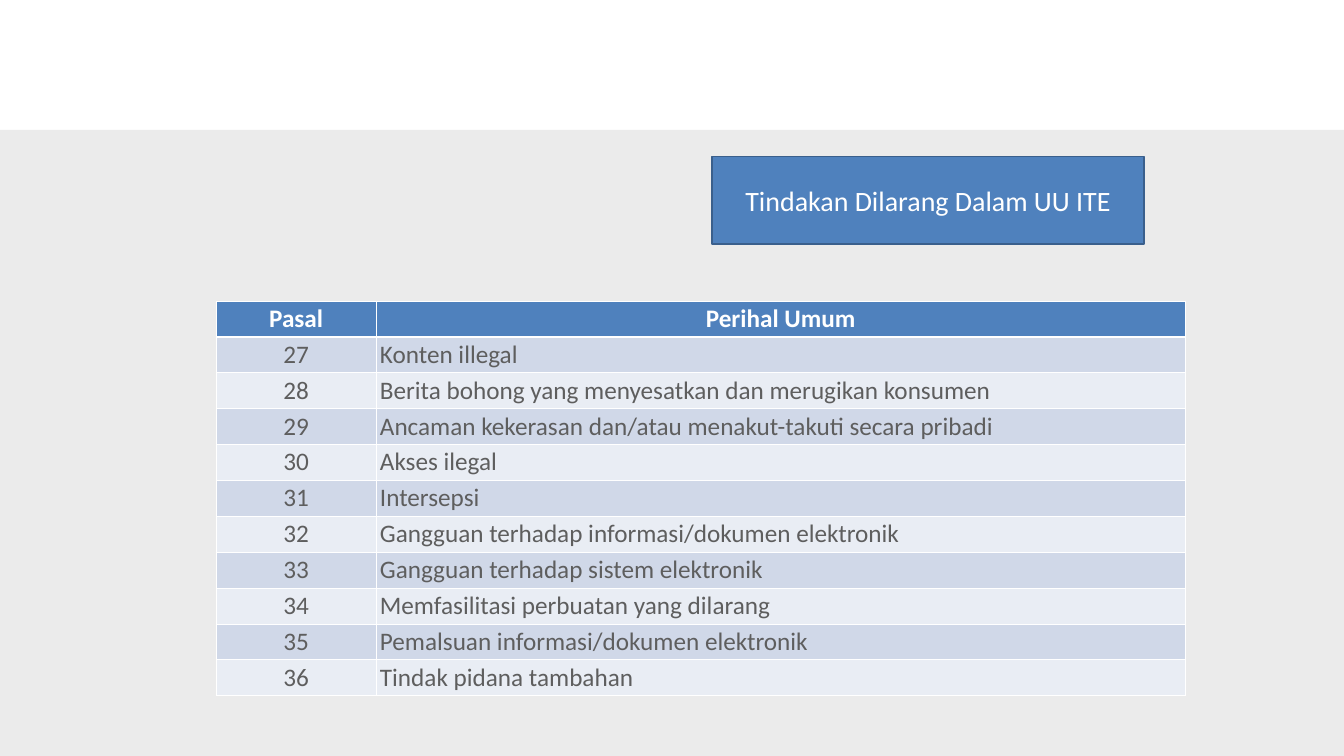
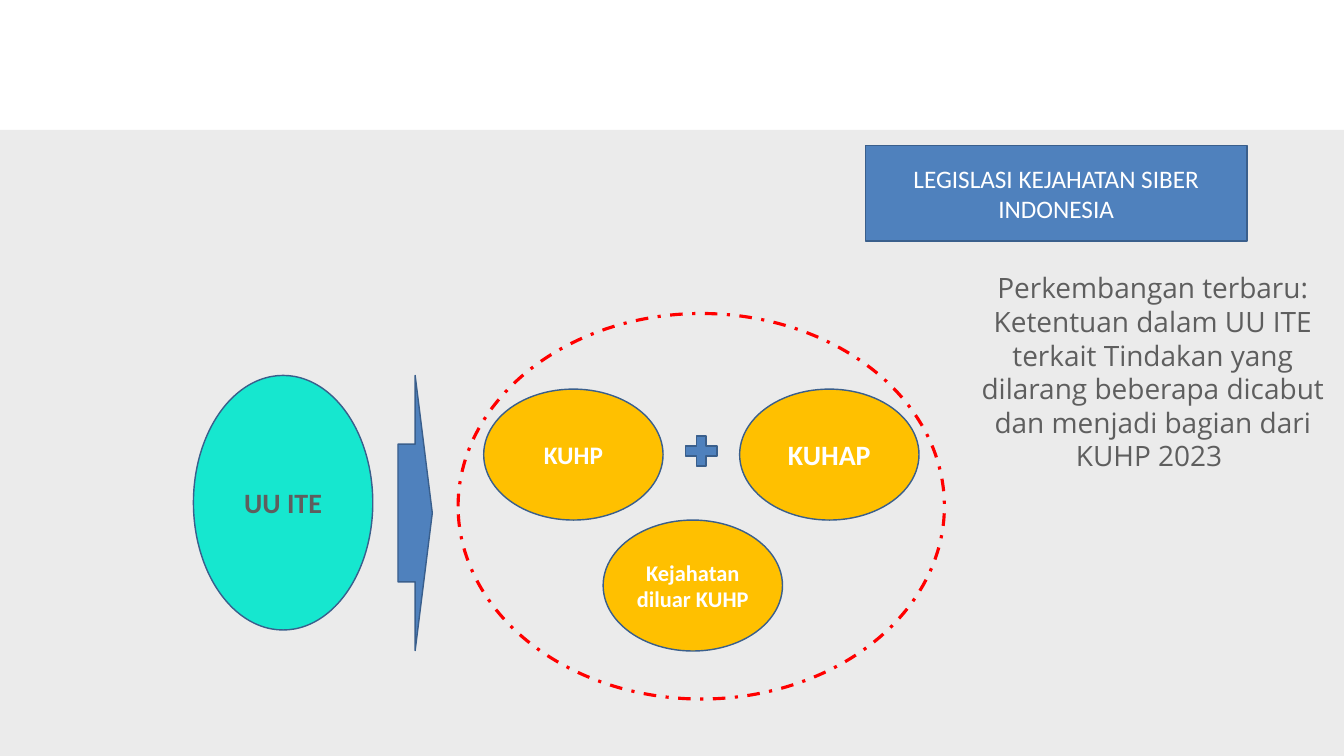
from dataclasses import dataclass

from lxml import etree
from pptx import Presentation, oxml
from pptx import util as u
from pptx.dml.color import RGBColor
from pptx.enum import dml, shapes, text
from pptx.oxml import ns

Cm, Pt = u.Cm, u.Pt
SHAPE = shapes.MSO_SHAPE
ALIGN = text.PP_ALIGN


@dataclass(frozen=True)
class Theme:
    white: str = "FFFFFF"
    panel: str = "EBEBEB"
    blue: str = "4F81BD"
    outline: str = "3A5F8C"
    ink: str = "5E5E5E"
    band_dark: str = "D0D8E8"
    band_light: str = "E9EDF4"
    turquoise: str = "16E7CF"
    amber: str = "FFC000"
    red: str = "FF0000"
    font: str = "Calibri"
    note_font: str = "Open Sans"
    large: int = 40
    medium: int = 36
    small: int = 32


@dataclass(frozen=True)
class Box:
    left: float
    top: float
    width: float
    height: float

    def inner(self, left, top, width, height):
        return Box(self.left + left, self.top + top, width, height)

    def lengths(self):
        return Cm(self.left), Cm(self.top), Cm(self.width), Cm(self.height)


THEME = Theme()
SLIDE = Box(0, 0, 67.74, 38.1)
PANEL_TOP = 6.55

ARTICLES = [
    "Konten illegal",
    "Berita bohong yang menyesatkan dan merugikan konsumen",
    "Ancaman kekerasan dan/atau menakut-takuti secara pribadi",
    "Akses ilegal",
    "Intersepsi",
    "Gangguan terhadap informasi/dokumen elektronik",
    "Gangguan terhadap sistem elektronik",
    "Memfasilitasi perbuatan yang dilarang",
    "Pemalsuan informasi/dokumen elektronik",
    "Tindak pidana tambahan",
]
FIRST_ARTICLE = 27

NOTE = [
    "Perkembangan terbaru:",
    "Ketentuan dalam UU ITE terkait Tindakan yang dilarang beberapa dicabut "
    "dan menjadi bagian dari KUHP 2023 ",
]


def rgb(value):
    return RGBColor.from_string(value)


def paint(shape, fill, line=THEME.outline, width=2):
    if fill:
        shape.fill.solid()
        shape.fill.fore_color.rgb = rgb(fill)
    else:
        shape.fill.background()
    if line:
        shape.line.color.rgb = rgb(line)
        shape.line.width = Pt(width)
    else:
        shape.line.fill.background()


def write(paragraph, words, size, color, bold=False, font=THEME.font, align=ALIGN.CENTER):
    paragraph.alignment = align
    run = paragraph.add_run()
    run.text = words
    run.font.name = font
    run.font.size = Pt(size)
    run.font.bold = bold
    run.font.color.rgb = rgb(color)


def add_figure(slide, kind, box, fill, line=THEME.outline, width=2):
    shape = slide.shapes.add_shape(kind, *box.lengths())
    shape.shadow.inherit = False
    paint(shape, fill, line, width)
    return shape


def add_oval(slide, box, fill, words, size, color=THEME.white):
    oval = add_figure(slide, SHAPE.OVAL, box, fill)
    frame = oval.text_frame
    frame.word_wrap = True
    frame.vertical_anchor = text.MSO_ANCHOR.MIDDLE
    write(frame.paragraphs[0], words, size, color, bold=True)


def move_panel_to_master(presentation, slide):
    box = Box(0, PANEL_TOP, SLIDE.width, SLIDE.height - PANEL_TOP)
    panel = add_figure(slide, SHAPE.RECTANGLE, box, THEME.panel, line=None)
    presentation.slide_master.shapes.element.insert(2, panel.element)


def add_title_badge(slide, box, words, size):
    title = slide.shapes.title
    title.left, title.top, title.width, title.height = box.lengths()
    geometry = oxml.parse_xml(
        f'<a:prstGeom {ns.nsdecls("a")} prst="roundRect"><a:avLst/></a:prstGeom>'
    )
    title.element.spPr.insert(1, geometry)
    paint(title, THEME.blue)
    frame = title.text_frame
    frame.auto_size = text.MSO_AUTO_SIZE.NONE
    frame.word_wrap = True
    frame.vertical_anchor = text.MSO_ANCHOR.MIDDLE
    write(frame.paragraphs[0], words, size, THEME.white)


def style_cell(cell, fill, top, bottom):
    cell.margin_left = cell.margin_right = Cm(0.2)
    cell.fill.solid()
    cell.fill.fore_color.rgb = rgb(fill)
    properties = cell._tc.get_or_add_tcPr()
    edges = {"lnL": 1, "lnR": 1, "lnT": top, "lnB": bottom}
    for position, (edge, width) in enumerate(edges.items()):
        line = etree.Element(ns.qn(f"a:{edge}"), w=str(Pt(width)))
        solid = etree.SubElement(line, ns.qn("a:solidFill"))
        etree.SubElement(solid, ns.qn("a:srgbClr"), val=THEME.white)
        properties.insert(position, line)


def add_article_table(slide, box):
    rows = [("Pasal", "Perihal Umum")]
    rows += [(str(number), subject) for number, subject in enumerate(ARTICLES, FIRST_ARTICLE)]
    table = slide.shapes.add_table(len(rows), 2, *box.lengths()).table
    table.horz_banding = False
    number_width = 8.05
    table.columns[0].width = Cm(number_width)
    table.columns[1].width = Cm(box.width - number_width)
    for index, values in enumerate(rows):
        header = index == 0
        table.rows[index].height = Cm(box.height / len(rows))
        band = THEME.band_dark if index % 2 else THEME.band_light
        for column, words in enumerate(values):
            cell = table.cell(index, column)
            style_cell(cell, THEME.blue if header else band,
                       top=3 if index == 1 else 1, bottom=3 if header else 1)
            centered = header or column == 0
            write(cell.text_frame.paragraphs[0], words, THEME.medium,
                  THEME.white if header else THEME.ink, bold=header,
                  align=ALIGN.CENTER if centered else ALIGN.JUSTIFY)


def add_law_diagram(slide, box):
    oval_width, oval_height, oval_top = 9.04, 6.6, 3.81
    add_oval(slide, box.inner(0, 3.12, oval_width, 12.83), THEME.turquoise,
             "UU ITE", THEME.large, THEME.ink)
    add_figure(slide, SHAPE.RIGHT_ARROW, box.inner(10.31, 3.12, 1.73, 13.87), THEME.blue)
    sources = [
        ("KUHP", 14.63, oval_top, THEME.medium),
        ("KUHAP", 27.53, oval_top, THEME.large),
        ("Kejahatan diluar KUHP", 20.65, oval_top + oval_height, THEME.small),
    ]
    for words, left, top, size in sources:
        add_oval(slide, box.inner(left, top, oval_width, oval_height), THEME.amber, words, size)
    add_figure(slide, SHAPE.MATH_PLUS, box.inner(24.51, 5.89, 2.16, 2.08), THEME.blue)
    ring_left = 13.34
    ring_box = box.inner(ring_left, 0, box.width - ring_left, box.height)
    ring = add_figure(slide, SHAPE.OVAL, ring_box, None, THEME.red, 4.5)
    ring.line.dash_style = dml.MSO_LINE.DASH_DOT


def add_note(slide, box):
    frame = slide.shapes.add_textbox(*box.lengths()).text_frame
    frame.word_wrap = True
    frame.vertical_anchor = text.MSO_ANCHOR.MIDDLE
    frame.margin_left = frame.margin_right = Cm(0.15)
    frame.margin_top = frame.margin_bottom = Cm(0.15)
    for index, words in enumerate(NOTE):
        paragraph = frame.add_paragraph() if index else frame.paragraphs[0]
        paragraph.line_spacing = Pt(48)
        write(paragraph, words, THEME.large, THEME.ink, font=THEME.note_font)


def build_articles_slide(slide):
    add_title_badge(slide, Box(35.89, 7.9, 21.77, 4.39),
                    "Tindakan Dilarang Dalam UU ITE", THEME.large)
    add_article_table(slide, Box(10.9, 15.16, 48.84, 19.9))


def build_legislation_slide(slide):
    add_title_badge(slide, Box(43.61, 7.34, 19.25, 4.8),
                    "LEGISLASI KEJAHATAN SIBER INDONESIA", THEME.medium)
    add_law_diagram(slide, Box(9.75, 15.8, 37.85, 19.43))
    add_note(slide, Box(48.46, 13.46, 19.28, 10.54))


def main():
    presentation = Presentation()
    presentation.slide_width = Cm(SLIDE.width)
    presentation.slide_height = Cm(SLIDE.height)
    title_only = presentation.slide_layouts[5]
    articles = presentation.slides.add_slide(title_only)
    move_panel_to_master(presentation, articles)
    build_articles_slide(articles)
    build_legislation_slide(presentation.slides.add_slide(title_only))
    presentation.save("out.pptx")


if __name__ == "__main__":
    main()
